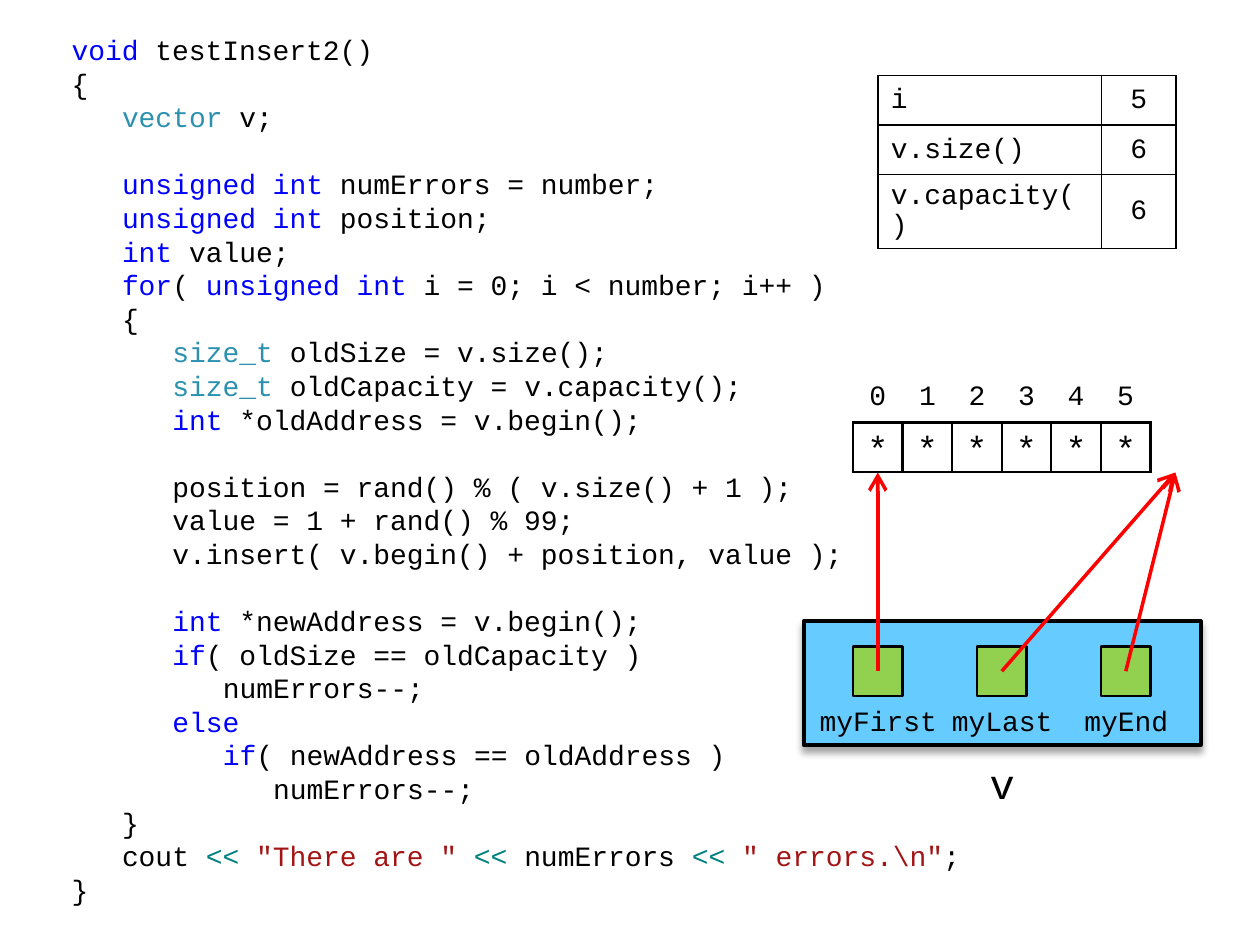
from dataclasses import dataclass

from lxml import etree
from pptx import Presentation
from pptx.dml.color import RGBColor
from pptx.enum.shapes import MSO_CONNECTOR, MSO_SHAPE
from pptx.enum.text import MSO_ANCHOR, PP_ALIGN
from pptx.oxml import parse_xml
from pptx.oxml.ns import nsdecls, qn
from pptx.util import Inches, Pt

LEFT, CENTER = PP_ALIGN.LEFT, PP_ALIGN.CENTER
MIDDLE, BOTTOM = MSO_ANCHOR.MIDDLE, MSO_ANCHOR.BOTTOM
PROCESS, RECT = MSO_SHAPE.FLOWCHART_PROCESS, MSO_SHAPE.RECTANGLE
STRAIGHT = MSO_CONNECTOR.STRAIGHT


@dataclass(frozen=True)
class Theme:
    font: str = "Courier New"
    ink: str = "000000"
    keyword: str = "0000FF"
    type_name: str = "2B91AF"
    operator: str = "008080"
    string: str = "A31515"
    object_fill: str = "66CCFF"
    member_fill: str = "92D050"
    pointer: str = "FF0000"
    body: int = 16
    star: int = 20
    title: int = 24


T = Theme()
INK, KEY, TYPE, OP, STR = T.ink, T.keyword, T.type_name, T.operator, T.string
UNIT = 1 / 2.54  # the diagram sits on a one-centimetre grid


def write(p, text, size=T.body, color=T.ink):
    r = p.add_run()
    r.text = text
    r.font.name = T.font
    r.font.size = Pt(size)
    r.font.color.rgb = RGBColor.from_string(color)


def add_borders(cell, width, sides="LRTB"):
    tcPr = cell._tc.get_or_add_tcPr()
    for i, side in enumerate(sides):
        tcPr.insert(i, parse_xml(
            f'<a:ln{side} {nsdecls("a")} w="{Pt(width)}"><a:solidFill>'
            f'<a:srgbClr val="{T.ink}"/></a:solidFill></a:ln{side}>'))


prs = Presentation()
prs.slide_width, prs.slide_height = Inches(10), Inches(7.5)
s = prs.slides.add_slide(prs.slide_layouts[6])

# Code listing: indent level, then coloured pieces; None leaves a line free
code = [
    (0, ("void ", KEY), ("testInsert2()", INK)),
    (0, ("{", INK)),
    (1, ("vector", TYPE), (" v;", INK)),
    None,
    (1, ("unsigned int ", KEY), ("numErrors = number;", INK)),
    (1, ("unsigned int", KEY), (" position;", INK)),
    (1, ("int", KEY), (" value;", INK)),
    (1, ("for", KEY), ("( ", INK), ("unsigned int", KEY),
     (" i = 0; i < number; i++ )", INK)),
    (1, ("{", INK)),
    (2, ("size_t ", TYPE), ("oldSize = v.size();", INK)),
    (2, ("size_t ", TYPE), ("oldCapacity = v.capacity();", INK)),
    (2, ("int", KEY), (" *oldAddress = v.begin();", INK)),
    None,
    (2, ("position = rand() % ( v.size() + 1 );", INK)),
    (2, ("value = 1 + rand() % 99;", INK)),
    (2, ("v.insert( v.begin() + position, value );", INK)),
    None,
    (2, ("int", KEY), (" *newAddress = v.begin();", INK)),
    (2, ("if", KEY), ("( oldSize == oldCapacity )", INK)),
    (3, ("numErrors--;", INK)),
    (2, ("else", KEY)),
    (3, ("if", KEY), ("( newAddress == oldAddress )", INK)),
    (4, ("numErrors--;", INK)),
    (1, ("}", INK)),
    (1, ("cout ", INK), ("<< ", OP), ('"There are " ', STR), ("<< ", OP),
     ("numErrors ", INK), ("<< ", OP), ('" errors.\\n"', STR), (";", INK)),
    (0, ("}", INK)),
]
FREE_LINE = 19.2
tf = s.shapes.add_textbox(Inches(0.47), Inches(0.21), Inches(7.28), Inches(7.09)).text_frame
tf.word_wrap = True
p, gap = tf.paragraphs[0], 0
for line in code:
    if line is None:
        gap = FREE_LINE
        continue
    level, *pieces = line
    if p.runs:
        p = tf.add_paragraph()
    p.space_before = Pt(gap)
    p._p.get_or_add_pPr().set("marL", str(Inches(0.4 * level)))
    for text, color in pieces:
        write(p, text, color=color)
    gap = 0

# Array contents with index row
ARRAY_LEFT, ARRAY_BOTTOM = 6.77, 3.75
table = s.shapes.add_table(2, 6, Inches(ARRAY_LEFT), Inches(2.96),
                           Inches(6 * UNIT), Inches(2 * UNIT)).table
table.first_row = table.horz_banding = False
for row in table.rows:
    row.height = Inches(UNIT)
for i, column in enumerate(table.columns):
    column.width = Inches(UNIT)
    index, item = table.cell(0, i), table.cell(1, i)
    for cell, text, size, anchor, dx, dy in (
            (index, str(i), T.body, MIDDLE, 0.06, 0.04),
            (item, "*", T.star, BOTTOM, 0, 0)):
        cell.fill.background()
        cell.vertical_anchor = anchor
        cell.margin_left = cell.margin_right = Inches(dx)
        cell.margin_top = cell.margin_bottom = Inches(dy)
        p = cell.text_frame.paragraphs[0]
        p.alignment = CENTER
        write(p, text, size)
    add_borders(index, 1.5, "B")
    add_borders(item, 1.5)

# The vector object, its members and their names
tf = s.shapes.add_textbox(Inches(7.56), Inches(5.92), Inches(0.79), Inches(0.59)).text_frame
tf.word_wrap = True
tf.vertical_anchor = MIDDLE
tf.paragraphs[0].alignment = CENTER
write(tf.paragraphs[0], "v", T.title)

OBJECT_LEFT, MEMBER_TOP, STEP = 6.38, 5.13, 2.5 * UNIT
shapes = [(PROCESS, OBJECT_LEFT, 4.93, 8 * UNIT, 2.5 * UNIT, T.object_fill, 2.25, "")]
for i, name in enumerate(("myFirst", "myLast", "myEnd")):
    shapes += [
        (PROCESS, OBJECT_LEFT + i * STEP, 5.52, 3 * UNIT, UNIT, None, 0, name),
        (RECT, ARRAY_LEFT + i * STEP, MEMBER_TOP, UNIT, UNIT, T.member_fill, 1.5, ""),
    ]
for kind, x, y, w, h, fill, weight, name in shapes:
    sp = s.shapes.add_shape(kind, Inches(x), Inches(y), Inches(w), Inches(h))
    sp.shadow.inherit = False
    if fill:
        sp.fill.solid()
        sp.fill.fore_color.rgb = RGBColor.from_string(fill)
        sp.line.color.rgb = RGBColor.from_string(T.ink)
        sp.line.width = Pt(weight)
    else:
        sp.fill.background()
        sp.line.fill.background()
    if name:
        sp.text_frame.vertical_anchor = MIDDLE
        p = sp.text_frame.paragraphs[0]
        p.alignment = CENTER
        write(p, name)
    if kind == PROCESS and fill:
        sp._element.spPr.find(qn("a:effectLst")).append(parse_xml(
            f'<a:outerShdw {nsdecls("a")} blurRad="{Pt(4)}" dist="{Pt(3)}" dir="5400000" '
            f'rotWithShape="0"><a:srgbClr val="{T.ink}"><a:alpha val="35000"/>'
            '</a:srgbClr></a:outerShdw>'))

# Pointers from the members into the array
first, end = ARRAY_LEFT + UNIT / 2, ARRAY_LEFT + 6.5 * UNIT
for i, target in ((2, end), (1, end), (0, first)):
    c = s.shapes.add_connector(STRAIGHT, Inches(first + i * STEP),
                               Inches(MEMBER_TOP + UNIT / 2),
                               Inches(target), Inches(ARRAY_BOTTOM))
    c.line.color.rgb = RGBColor.from_string(T.pointer)
    c.line.width = Pt(2)
    etree.SubElement(c.line._get_or_add_ln(), qn("a:tailEnd"), type="arrow", w="lg", len="lg")
    etree.SubElement(c._element.spPr, qn("a:effectLst"))

# Watched values
values = [("i", "5"), ("v.size()", "6"), ("v.capacity()", "6")]
table = s.shapes.add_table(3, 2, Inches(6.97), Inches(0.6),
                           Inches(6 * UNIT), Inches(3 * UNIT)).table
table.first_row = table.horz_banding = False
for column, units in zip(table.columns, (4.5, 1.5)):
    column.width = Inches(units * UNIT)
for i, record in enumerate(values):
    table.rows[i].height = Inches(UNIT)
    for cell, text, align in zip(table.rows[i].cells, record, (LEFT, CENTER)):
        cell.fill.background()
        cell.vertical_anchor = MIDDLE
        cell.margin_top = cell.margin_bottom = Inches(0.04)
        p = cell.text_frame.paragraphs[0]
        p.alignment = align
        p.line_spacing = 0.95
        write(p, text)
        add_borders(cell, 1)

prs.save("out.pptx")
